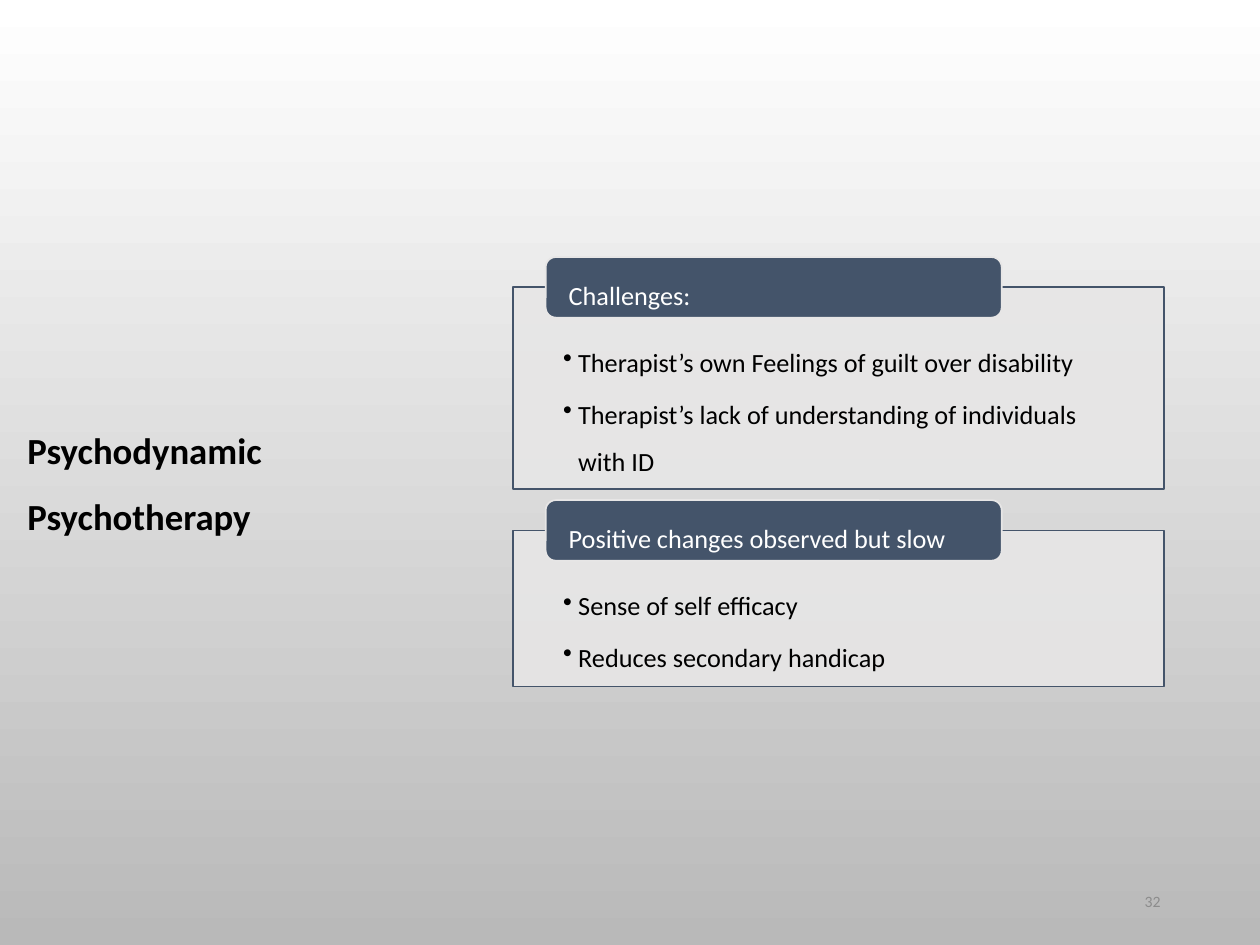
from lxml import etree
from pptx import Presentation
from pptx.dml.color import RGBColor
from pptx.enum import shapes, text
from pptx.oxml import ns
from pptx.util import Pt

FONT = "Calibri"
SLATE = "44546A"
PALE = "E7E6E6"
BLACK = "000000"
WHITE = "FFFFFF"

PANEL_LEFT, PANEL_WIDTH = 293, 372.2
PANELS_TOP, PANEL_GAP = 164.2, 23.7
TAG_LEFT, TAG_WIDTH, TAG_HEIGHT = 311.8, 260.6, 34.6

PANELS = [
    ("Challenges:", 115.2, [
        "Therapist’s own Feelings of guilt over disability",
        "Therapist’s lack of understanding of individuals with ID",
    ]),
    ("Positive changes observed but slow", 89.3, [
        "Sense of self efficacy",
        "Reduces secondary handicap",
    ]),
]


def rgb(color):
    return RGBColor.from_string(color)


def add_bullet(paragraph, indent=8.64):
    props = paragraph._p.get_or_add_pPr()
    props.set("marL", str(Pt(indent)))
    props.set("indent", str(-Pt(indent)))
    etree.SubElement(props, ns.qn("a:buChar")).set("char", "•")


def write(holder, lines, size=15, color=BLACK, bold=False, align="LEFT",
          anchor="MIDDLE", insets=(7.2, 3.6, 7.2, 3.6), spacing=1.5,
          after=0, bullets=False):
    frame = holder.text_frame
    frame.word_wrap = True
    frame.vertical_anchor = text.MSO_ANCHOR[anchor]
    (frame.margin_left, frame.margin_top,
     frame.margin_right, frame.margin_bottom) = map(Pt, insets)
    for index, line in enumerate(lines):
        paragraph = frame.add_paragraph() if index else frame.paragraphs[0]
        paragraph.alignment = text.PP_ALIGN[align]
        paragraph.line_spacing = spacing
        paragraph.space_after = Pt(after)
        if bullets:
            add_bullet(paragraph)
        run = paragraph.add_run()
        run.text = line
        run.font.name = FONT
        run.font.size = Pt(size)
        run.font.bold = bold
        run.font.color.rgb = rgb(color)


def add_box(slide, kind, place, fill, line, opacity=100):
    box = slide.shapes.add_shape(kind, *map(Pt, place))
    box.shadow.inherit = False
    box.fill.solid()
    box.fill.fore_color.rgb = rgb(fill)
    box.line.color.rgb = rgb(line)
    box.line.width = Pt(1)
    if opacity < 100:
        tint = box._element.spPr.find(ns.qn("a:solidFill"))[0]
        etree.SubElement(tint, ns.qn("a:alpha")).set("val", str(opacity * 1000))
    return box


def add_label(slide, place, label, **style):
    write(slide.shapes.add_textbox(*map(Pt, place)), [label], **style)


def add_panel(slide, top, height, heading, points):
    body = add_box(slide, shapes.MSO_SHAPE.RECTANGLE,
                   (PANEL_LEFT, top, PANEL_WIDTH, height), PALE, SLATE, opacity=90)
    write(body, points, anchor="TOP", insets=(28.8, 24.5, 28.8, 8.6),
          after=2.7, bullets=True)
    tag = add_box(slide, shapes.MSO_SHAPE.ROUNDED_RECTANGLE,
                  (TAG_LEFT, top - TAG_HEIGHT / 2, TAG_WIDTH, TAG_HEIGHT), SLATE, PALE)
    write(tag, [heading], color=WHITE, insets=(11.5, 0, 11.5, 0), after=6.3)


def paint_background(slide, top_color, bottom_color):
    fill = slide.background.fill
    fill.gradient()
    fill.gradient_angle = 270
    for stop, color in zip(fill.gradient_stops, (top_color, bottom_color)):
        stop.color.rgb = rgb(color)


def main():
    deck = Presentation()
    deck.slide_width, deck.slide_height = Pt(720), Pt(540)
    slide = deck.slides.add_slide(deck.slide_layouts[6])
    paint_background(slide, WHITE, "B9B9B9")

    add_label(slide, (8.6, 105.8, 231.1, 327.6), "Psychodynamic Psychotherapy",
              size=21, bold=True)

    top = PANELS_TOP
    for heading, height, points in PANELS:
        add_panel(slide, top, height, heading, points)
        top += height + PANEL_GAP

    add_label(slide, (508.3, 500.4, 162, 28.8), "32", size=9, color="8C8C8C",
              align="RIGHT", spacing=1.0, after=6)
    deck.save("out.pptx")


if __name__ == "__main__":
    main()
